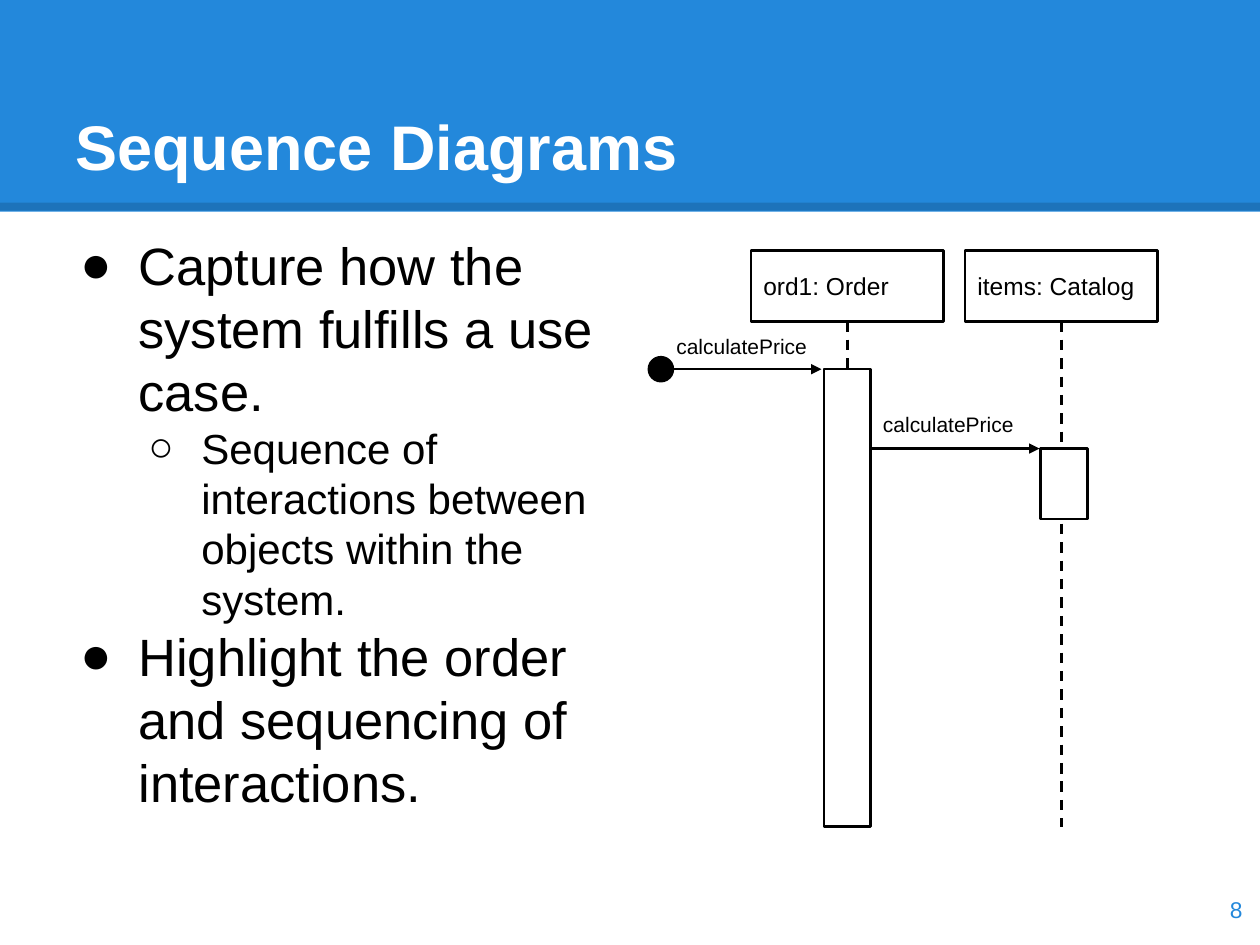
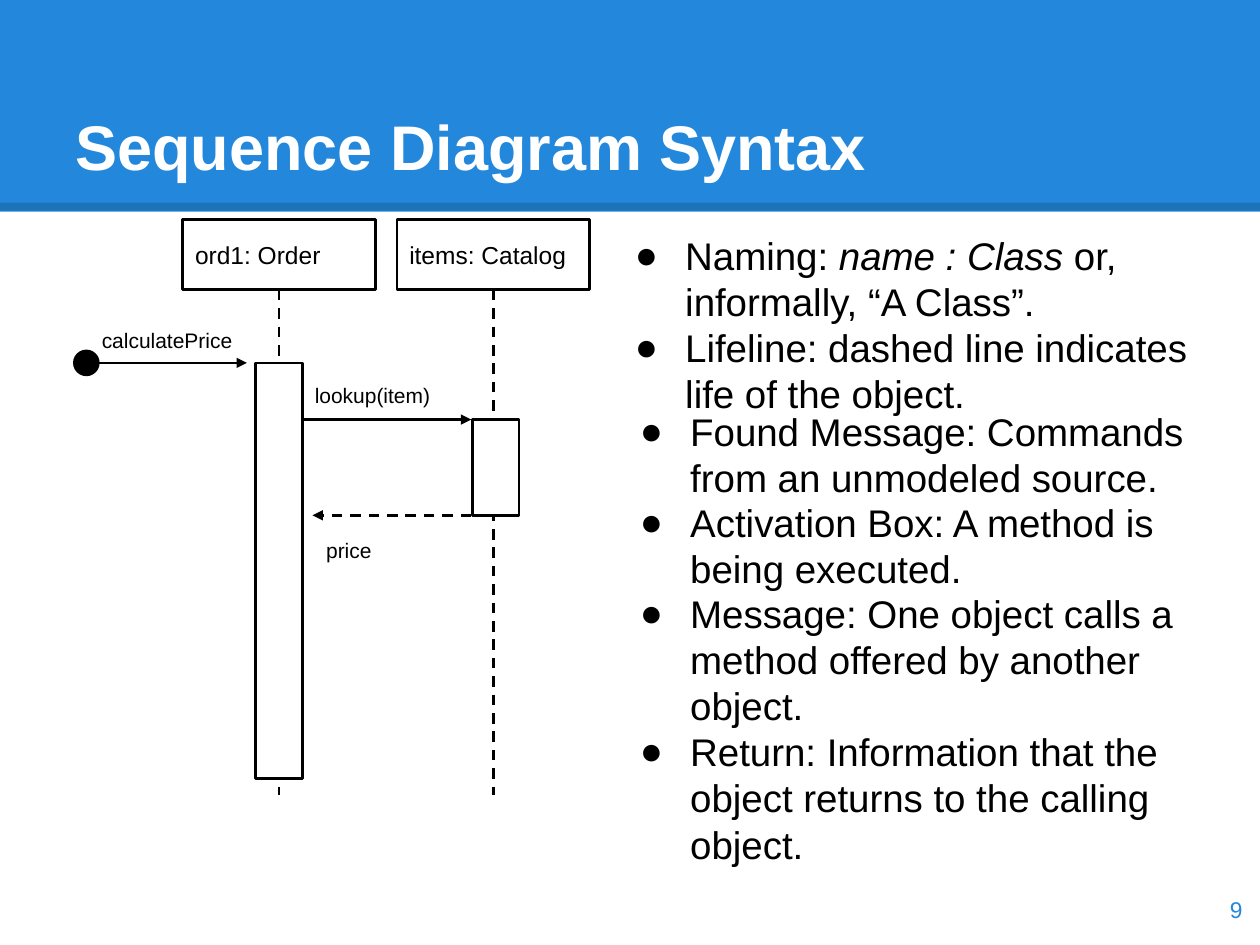
from dataclasses import dataclass

from lxml import etree
from pptx import Presentation
from pptx import util as u
from pptx.dml.color import RGBColor
from pptx.enum import dml, shapes, text
from pptx.oxml import ns

FONT = "Arial"
BLUE, BLACK, WHITE = "2388DB", "000000", "FFFFFF"
LINE_WIDTH = 1.5
HEAD_WIDTH, HEAD_HEIGHT, HEAD_STEP = 1.53, 0.56, 1.7
BAR_WIDTH, DOT_SIZE, LIFELINE_LENGTH = 0.37, 0.19, 4.01
LABEL_RISE = 0.38


@dataclass
class Bullet:
    runs: tuple[str, ...]
    size: int = 22
    level: int = 0
    hanging: float = 0.4


@dataclass
class BulletBox:
    left: float
    top: float
    width: float
    height: float
    bullets: list[Bullet]


@dataclass
class Bar:
    left: float
    top: float
    height: float


@dataclass
class SequenceDiagram:
    left: float
    top: float
    dot_left: float
    order_bar: Bar
    catalog_bar: Bar
    call: str
    result: str = ""


@dataclass
class Page:
    title: str
    number: int
    diagram: SequenceDiagram
    boxes: list[BulletBox]


PAGES = [
    Page(
        "Sequence Diagrams", 8,
        SequenceDiagram(5.96, 1.99, 5.15, Bar(6.54, 2.93, 3.63),
                        Bar(8.26, 3.56, 0.56), "calculatePrice"),
        [BulletBox(0.5, 1.75, 4.37, 5.43, [
            Bullet(("Capture how the system fulfills a use case.",), 30, 0, 0.46),
            Bullet(("Sequence of interactions between objects within the system.",),
                   24, 1, 0.42),
            Bullet(("Highlight the order and sequencing of interactions.",),
                   30, 0, 0.46),
        ])],
    ),
    Page(
        "Sequence Diagram Syntax", 9,
        SequenceDiagram(1.45, 1.74, 0.59, Bar(2.03, 2.88, 3.3),
                        Bar(3.75, 3.33, 0.76), "lookup(item)", "price"),
        [BulletBox(4.84, 1.74, 4.7, 0.94, [
            Bullet(("Naming: ", "name : Class", " or, informally, “A Class”.")),
            Bullet(("Lifeline: dashed line indicates life of the object.",)),
        ])] + [
            BulletBox(4.88, top, 4.7, 0.94, [Bullet((wording,))])
            for top, wording in (
                (3.14, "Found Message: Commands from an unmodeled source."),
                (3.86, "Activation Box: A method is being executed."),
                (4.58, "Message: One object calls a method offered by another object."),
                (5.68, "Return: Information that the object returns to the calling object."),
            )
        ],
    ),
]


def color(value: str) -> RGBColor:
    return RGBColor.from_string(value)


def set_frame(shape, anchor=text.MSO_ANCHOR.TOP):
    frame = shape.text_frame
    frame.word_wrap = True
    frame.vertical_anchor = anchor
    frame.margin_left = frame.margin_right = u.Inches(0.1)
    frame.margin_top = frame.margin_bottom = u.Inches(0.1)
    return frame


def format_run(run, size: float, hue: str, bold=False, italic=False) -> None:
    run.font.name = FONT
    run.font.size = u.Pt(size)
    run.font.color.rgb = color(hue)
    run.font.bold = bold
    run.font.italic = italic


def write(shape, wording: str, size: float, hue=BLACK, bold=False,
          anchor=text.MSO_ANCHOR.TOP, align=text.PP_ALIGN.LEFT) -> None:
    frame = set_frame(shape, anchor)
    frame.text = wording
    paragraph = frame.paragraphs[0]
    paragraph.alignment = align
    format_run(paragraph.runs[0], size, hue, bold)


def add_box(slide, left: float, top: float, width: float, height: float):
    return slide.shapes.add_textbox(
        u.Inches(left), u.Inches(top), u.Inches(width), u.Inches(height))


def add_figure(slide, kind, left: float, top: float, width: float, height: float,
               fill=WHITE, outline=BLACK):
    shape = slide.shapes.add_shape(
        kind, u.Inches(left), u.Inches(top), u.Inches(width), u.Inches(height))
    shape.shadow.inherit = False
    shape.fill.solid()
    shape.fill.fore_color.rgb = color(fill)
    if outline:
        shape.line.color.rgb = color(outline)
        shape.line.width = u.Pt(LINE_WIDTH)
    else:
        shape.line.fill.background()
    return shape


def add_line(slide, start: tuple[float, float], end: tuple[float, float],
             width=LINE_WIDTH, dashed=False, arrow=False):
    line = slide.shapes.add_connector(
        shapes.MSO_CONNECTOR.STRAIGHT, *map(u.Inches, start + end))
    line.line.color.rgb = color(BLACK)
    line.line.width = u.Pt(width)
    if dashed:
        line.line.dash_style = dml.MSO_LINE.DASH
    properties = line._element.spPr
    if arrow:
        etree.SubElement(properties.find(ns.qn("a:ln")), ns.qn("a:tailEnd"),
                         type="triangle")
    etree.SubElement(properties, ns.qn("a:effectLst"))
    return line


def add_frame(slide, page: Page) -> None:
    add_figure(slide, shapes.MSO_SHAPE.RECTANGLE, 0, 0, 10, 1.68, BLUE, "")
    stripe = add_line(slide, (0, 1.64), (10, 1.64), 4.5)
    hue = next(stripe._element.spPr.iter(ns.qn("a:srgbClr")))
    etree.SubElement(hue, ns.qn("a:alpha"), val="15000")
    write(add_box(slide, 0.5, 0.3, 9, 1.25), page.title, 36, WHITE, True,
          text.MSO_ANCHOR.BOTTOM)
    write(add_box(slide, 9.36, 6.93, 0.6, 0.57), str(page.number), 13, BLUE,
          anchor=text.MSO_ANCHOR.MIDDLE, align=text.PP_ALIGN.RIGHT)


def add_bullets(slide, box: BulletBox) -> None:
    frame = set_frame(add_box(slide, box.left, box.top, box.width, box.height))
    for index, bullet in enumerate(box.bullets):
        paragraph = frame.add_paragraph() if index else frame.paragraphs[0]
        paragraph.level = bullet.level
        properties = paragraph._p.get_or_add_pPr()
        properties.set("marL", str(u.Inches(0.5 * (bullet.level + 1))))
        properties.set("indent", str(u.Inches(-bullet.hanging)))
        marker = etree.SubElement(properties, ns.qn("a:buClr"))
        etree.SubElement(marker, ns.qn("a:srgbClr"), val=BLACK)
        etree.SubElement(properties, ns.qn("a:buFont"), typeface=FONT)
        etree.SubElement(properties, ns.qn("a:buChar"), char="●○"[bullet.level])
        for position, wording in enumerate(bullet.runs):
            run = paragraph.add_run()
            run.text = wording
            format_run(run, bullet.size, BLACK, italic=position % 2 == 1)


def add_label(slide, left: float, top: float, wording: str) -> None:
    write(add_box(slide, left, top, 1.33, 0.34), wording, 12)


def add_diagram(slide, diagram: SequenceDiagram) -> None:
    rectangle = shapes.MSO_SHAPE.RECTANGLE
    order, catalog = diagram.order_bar, diagram.catalog_bar
    for column, name in enumerate(("ord1: Order", "items: Catalog")):
        left = diagram.left + column * HEAD_STEP
        head = add_figure(slide, rectangle, left, diagram.top, HEAD_WIDTH, HEAD_HEIGHT)
        write(head, name, 14, anchor=text.MSO_ANCHOR.MIDDLE)
        center, bottom = left + HEAD_WIDTH / 2, diagram.top + HEAD_HEIGHT
        lifeline = add_line(slide, (center, bottom),
                            (center, bottom + LIFELINE_LENGTH), dashed=True)
        lifeline.begin_connect(head, 2)
    for bar in (order, catalog):
        add_figure(slide, rectangle, bar.left, bar.top, BAR_WIDTH, bar.height)

    dot_right = diagram.dot_left + DOT_SIZE
    add_figure(slide, shapes.MSO_SHAPE.OVAL, diagram.dot_left,
               order.top - DOT_SIZE / 2, DOT_SIZE, DOT_SIZE, BLACK)
    add_line(slide, (dot_right, order.top), (dot_right + 1.18, order.top), arrow=True)
    add_label(slide, diagram.dot_left + 0.12, order.top - LABEL_RISE, "calculatePrice")

    call_start, call_end = order.left + 0.36, catalog.left - 0.01
    add_line(slide, (call_start, catalog.top), (call_end, catalog.top), arrow=True)
    add_label(slide, call_start + 0.01, catalog.top - LABEL_RISE - 0.01, diagram.call)
    if diagram.result:
        bottom = catalog.top + catalog.height
        add_line(slide, (call_end, bottom), (call_start + 0.09, bottom),
                 dashed=True, arrow=True)
        add_label(slide, call_start + 0.1, bottom + 0.08, diagram.result)


def main() -> None:
    presentation = Presentation()
    presentation.slide_width = u.Inches(10)
    presentation.slide_height = u.Inches(7.5)
    for page in PAGES:
        slide = presentation.slides.add_slide(presentation.slide_layouts[6])
        add_frame(slide, page)
        add_diagram(slide, page.diagram)
        for box in page.boxes:
            add_bullets(slide, box)
    presentation.save("out.pptx")


if __name__ == "__main__":
    main()
